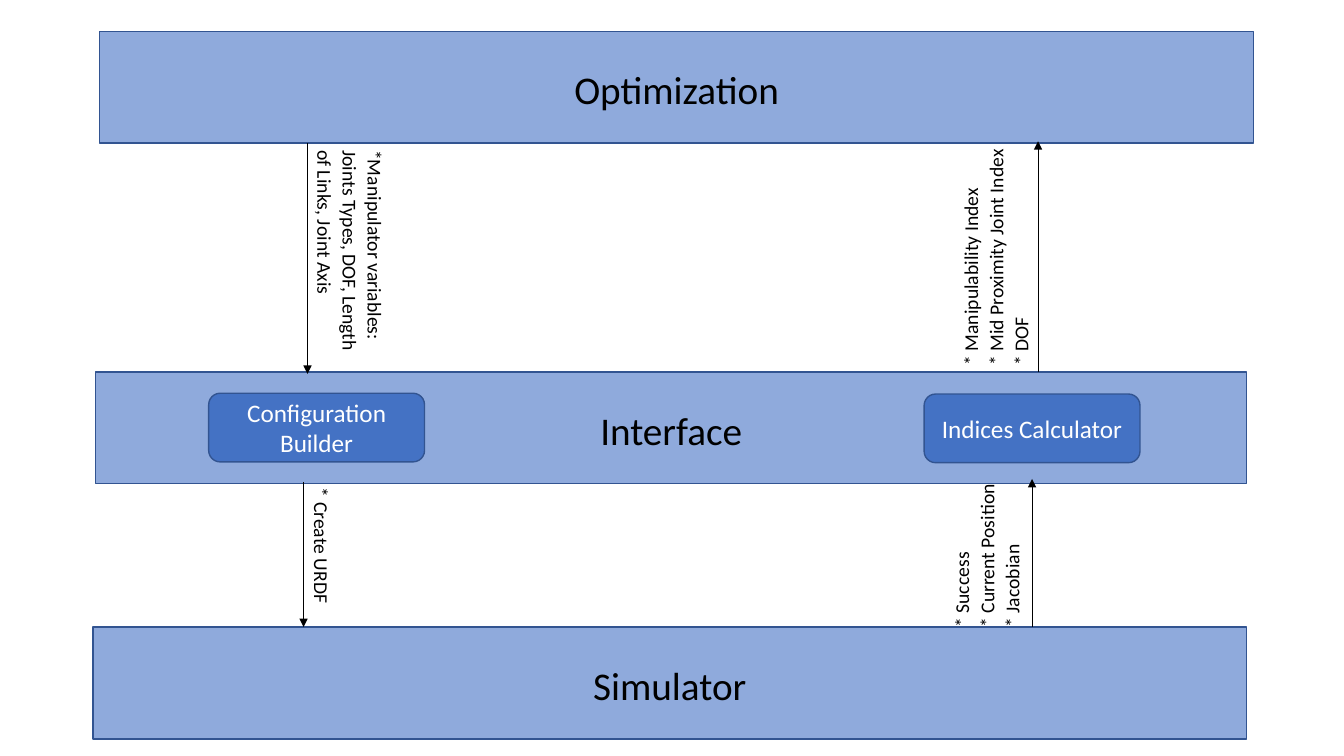
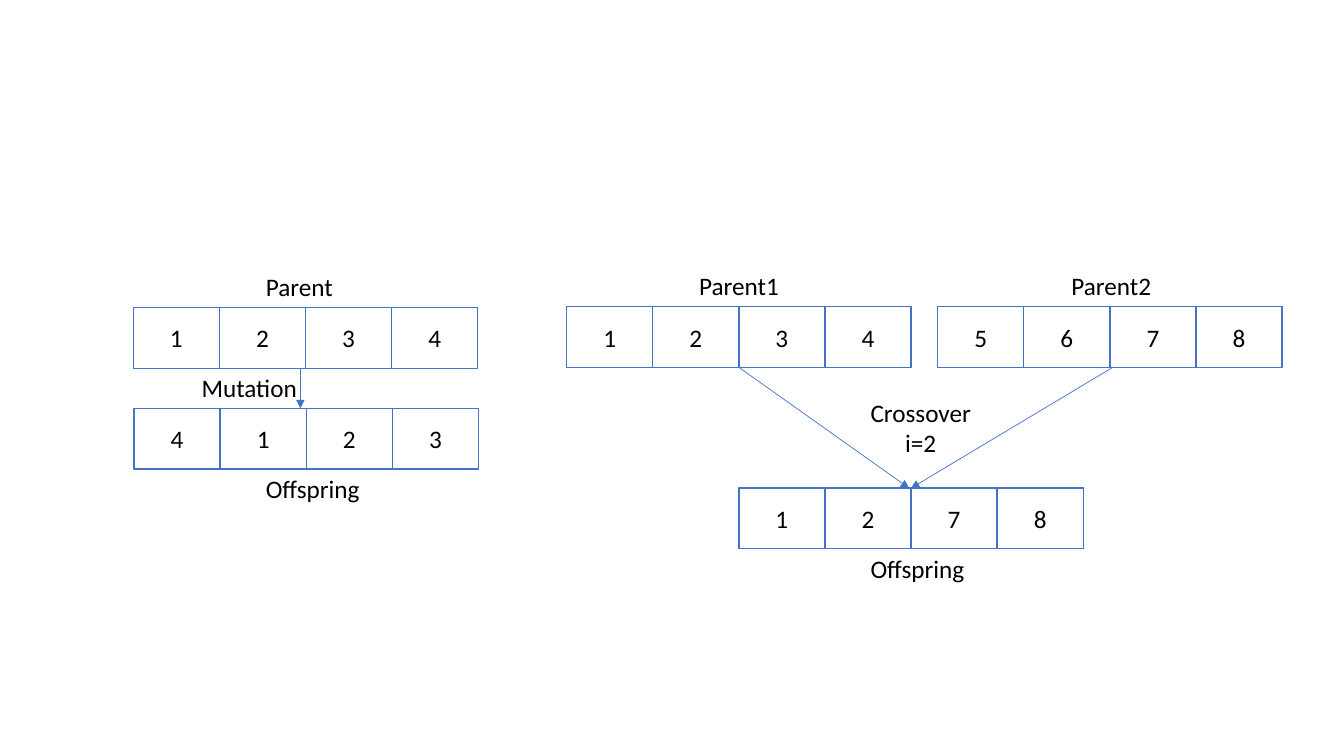
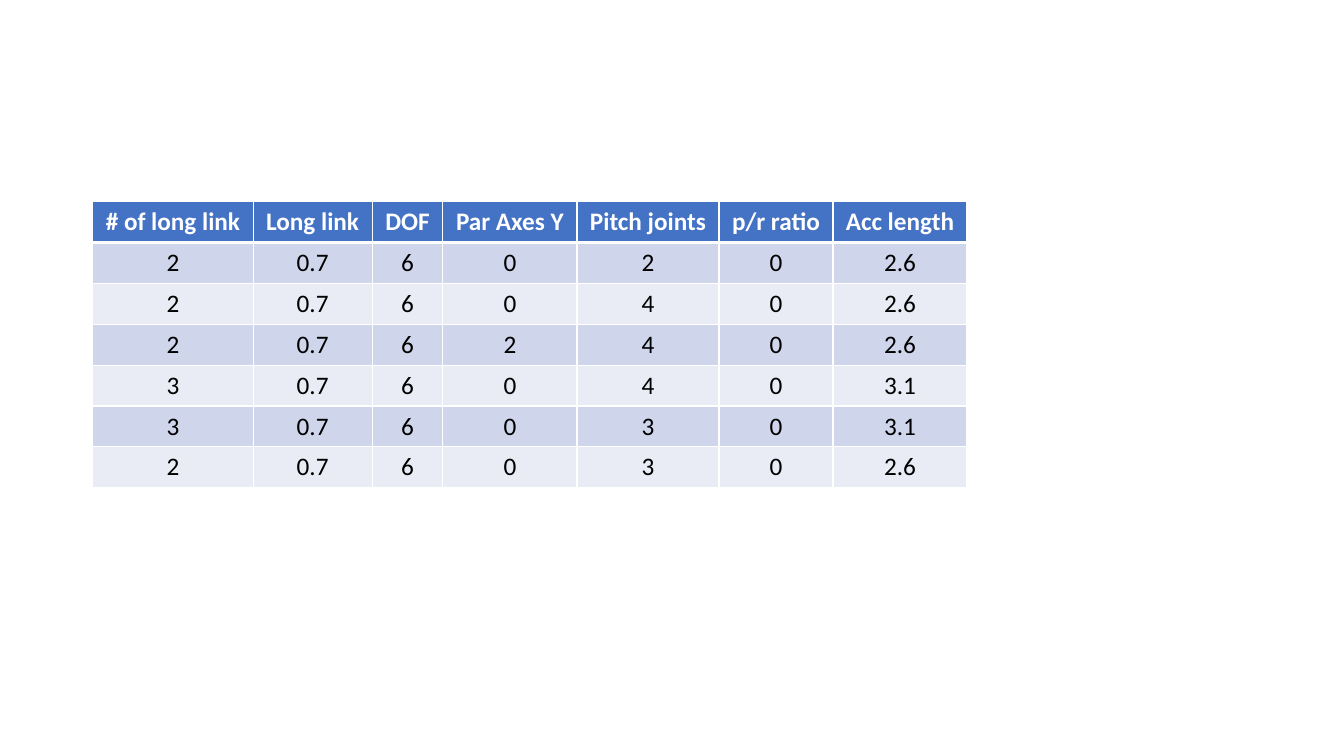
from pptx import Presentation
from pptx.dml.color import RGBColor
from pptx.enum.shapes import MSO_CONNECTOR, MSO_SHAPE
from pptx.enum.text import MSO_ANCHOR, MSO_AUTO_SIZE, PP_ALIGN
from pptx.oxml.ns import qn
from pptx.util import Cm, Pt
from lxml import etree

RECTANGLE, ROUNDED = MSO_SHAPE.RECTANGLE, MSO_SHAPE.ROUNDED_RECTANGLE
STRAIGHT = MSO_CONNECTOR.STRAIGHT
LEFT, CENTER = PP_ALIGN.LEFT, PP_ALIGN.CENTER
TOP, MIDDLE = MSO_ANCHOR.TOP, MSO_ANCHOR.MIDDLE
FIT_SHAPE = MSO_AUTO_SIZE.SHAPE_TO_FIT_TEXT

FONT = "Calibri"
BLACK, WHITE = "000000", "FFFFFF"
BLUE, DARK_BLUE, LIGHT_BLUE = "4472C4", "325491", "8FAADC"
ROW_FILLS = ("CFD5EA", "E9EBF5")
BLANK_LAYOUT = 6

# Architecture: all lengths in centimetres
BAND_HEIGHT = 2.82
BANDS = [  # text, left, top, width
    ("Simulator", 2.34, 15.8, 29.08),
    ("Optimization", 2.51, 0.79, 29.08),
    ("Interface", 2.41, 9.37, 29.01),
]
MODULE_SIZE = (5.44, 1.73)
MODULES = [
    ("Configuration Builder", 5.26, 9.91),
    ("Indices Calculator", 23.29, 9.93),
]
FLOWS = [  # x, start y, end y
    (26.16, 9.37, 3.56),
    (26.01, 15.8, 12.07),
    (7.75, 3.61, 9.42),
    (7.65, 12.14, 15.8),
]
FLOW_NOTES = [  # lines, box, rotation
    (["* Manipulability Index", "* Mid Proximity Joint Index", "* DOF"],
     (22.35, 4.98, 6.12, 2.84), 270),
    (["* Success", "* Current Position", "* Jacobian"],
     (23.04, 12.5, 4.29, 2.84), 270),
    (["*Manipulator variables:",
      "Joints Types, DOF, Length of Links, Joint Axis"],
     (5.51, 5.11, 5.99, 2.84), 90),
    (["* Create URDF"], (5.92, 13.94, 4.55, 0.76), 90),
]

# Genetic operators
GENE_WIDTH, GENE_HEIGHT = 2.17, 1.53
CHROMOSOMES = [  # genes, left, top
    ("1234", 3.36, 7.75),
    ("4123", 3.38, 10.29),
    ("1234", 14.28, 7.73),
    ("5678", 23.63, 7.73),
    ("1278", 18.62, 12.3),
]
LABELS = [  # lines, box
    (["Parent"], (6.45, 6.71, 2.21, 1.02)),
    (["Mutation"], (4.83, 9.25, 2.95, 1.02)),
    (["Offspring"], (6.45, 11.81, 2.92, 1.02)),
    (["Parent1"], (17.37, 6.68, 2.54, 1.02)),
    (["Parent2"], (26.75, 6.68, 2.54, 1.02)),
    (["Crossover", "i=2"], (21.67, 9.88, 3.07, 1.8)),
    (["Offspring"], (21.69, 13.82, 2.92, 1.02)),
]
INHERITANCE = [  # start x, start y, end x, end y
    (7.57, 9.3, 7.57, 10.29),
    (18.64, 9.27, 22.91, 12.3),
    (28.02, 9.27, 22.96, 12.3),
]

# Results table
TABLE_LEFT, TABLE_TOP, ROW_HEIGHT = 2.34, 5.08, 1.03
COLUMNS = [
    ("# of long link", 4.04), ("Long link", 3), ("DOF", 1.78),
    ("Par Axes Y", 3.38), ("Pitch joints", 3.58), ("p/r ratio", 2.87),
    ("Acc length", 3.38),
]
RESULTS = [
    ("2", "0.7", "6", "0", "2", "0", "2.6"),
    ("2", "0.7", "6", "0", "4", "0", "2.6"),
    ("2", "0.7", "6", "2", "4", "0", "2.6"),
    ("3", "0.7", "6", "0", "4", "0", "3.1"),
    ("3", "0.7", "6", "0", "3", "0", "3.1"),
    ("2", "0.7", "6", "0", "3", "0", "2.6"),
]


def rgb(color):
    return RGBColor.from_string(color)


def lengths(values):
    return [Cm(value) for value in values]


def write(frame, lines, size, color=BLACK, align=CENTER, bold=False,
          spacing=None, after=None):
    for index, line in enumerate(lines):
        paragraph = frame.add_paragraph() if index else frame.paragraphs[0]
        paragraph.alignment = align
        if spacing:
            paragraph.line_spacing = spacing
        if after:
            paragraph.space_after = Pt(after)
        run = paragraph.add_run()
        run.text = line
        run.font.name, run.font.size = FONT, Pt(size)
        run.font.bold = bold
        run.font.color.rgb = rgb(color)


def add_box(slide, kind, text, box, fill, outline, size, color=BLACK, **style):
    shape = slide.shapes.add_shape(kind, *lengths(box))
    shape.shadow.inherit = False
    shape.fill.solid()
    shape.fill.fore_color.rgb = rgb(fill)
    shape.line.color.rgb = rgb(outline)
    shape.line.width = Pt(1)
    shape.text_frame.word_wrap = True
    shape.text_frame.vertical_anchor = MIDDLE
    write(shape.text_frame, [text], size, color, **style)


def add_text(slide, lines, box, size, wrap, **style):
    shape = slide.shapes.add_textbox(*lengths(box))
    frame = shape.text_frame
    frame.word_wrap = wrap
    frame.vertical_anchor = TOP
    if not wrap:
        frame.auto_size = FIT_SHAPE
    write(frame, lines, size, **style)
    return shape


def add_arrow(slide, ends, color):
    arrow = slide.shapes.add_connector(STRAIGHT, *lengths(ends))
    arrow.line.color.rgb = rgb(color)
    arrow.line.width = Pt(0.5)
    properties = arrow.element.spPr
    etree.SubElement(properties.find(qn("a:ln")), qn("a:tailEnd"),
                     type="triangle")
    etree.SubElement(properties, qn("a:effectLst"))


def set_borders(cell, top, bottom):
    properties = cell._tc.get_or_add_tcPr()
    for side, width in (("L", 1), ("R", 1), ("T", top), ("B", bottom)):
        line = etree.SubElement(properties, qn("a:ln" + side), w=str(Pt(width)))
        fill = etree.SubElement(line, qn("a:solidFill"))
        etree.SubElement(fill, qn("a:srgbClr"), val=WHITE)


def build_architecture(slide):
    for text, left, top, width in BANDS:
        add_box(slide, RECTANGLE, text, (left, top, width, BAND_HEIGHT),
                LIGHT_BLUE, DARK_BLUE, 28, spacing=1.07, after=8)
    for text, left, top in MODULES:
        add_box(slide, ROUNDED, text, (left, top, *MODULE_SIZE),
                BLUE, DARK_BLUE, 18, WHITE)
    for x, start, end in FLOWS:
        add_arrow(slide, (x, start, x, end), BLACK)
    for lines, box, rotation in FLOW_NOTES:
        note = add_text(slide, lines, box, 14, True, align=LEFT, spacing=1.07)
        note.rotation = rotation


def build_operators(slide):
    for genes, left, top in CHROMOSOMES:
        for index, gene in enumerate(genes):
            box = (left + index * GENE_WIDTH, top, GENE_WIDTH, GENE_HEIGHT)
            add_box(slide, RECTANGLE, gene, box, WHITE, BLUE, 18)
    for ends in INHERITANCE:
        add_arrow(slide, ends, BLUE)
    for lines, box in LABELS:
        align = CENTER if len(lines) > 1 else LEFT
        add_text(slide, lines, box, 18, False, align=align)


def build_results(slide):
    rows = [[heading for heading, _ in COLUMNS], *RESULTS]
    box = (TABLE_LEFT, TABLE_TOP, sum(width for _, width in COLUMNS),
           ROW_HEIGHT * len(rows))
    table = slide.shapes.add_table(len(rows), len(COLUMNS),
                                   *lengths(box)).table
    for column, (_, width) in zip(table.columns, COLUMNS):
        column.width = Cm(width)
    for row_index, values in enumerate(rows):
        table.rows[row_index].height = Cm(ROW_HEIGHT)
        header = row_index == 0
        fill = BLUE if header else ROW_FILLS[(row_index - 1) % 2]
        for column_index, value in enumerate(values):
            cell = table.cell(row_index, column_index)
            set_borders(cell, top=3 if row_index == 1 else 1,
                        bottom=3 if header else 1)
            cell.fill.solid()
            cell.fill.fore_color.rgb = rgb(fill)
            write(cell.text_frame, [value], 18, WHITE if header else BLACK,
                  bold=header)


def main():
    presentation = Presentation()
    presentation.slide_width, presentation.slide_height = Cm(33.87), Cm(19.05)
    layout = presentation.slide_layouts[BLANK_LAYOUT]
    for build in (build_architecture, build_operators, build_results):
        build(presentation.slides.add_slide(layout))
    presentation.save("out.pptx")


if __name__ == "__main__":
    main()
